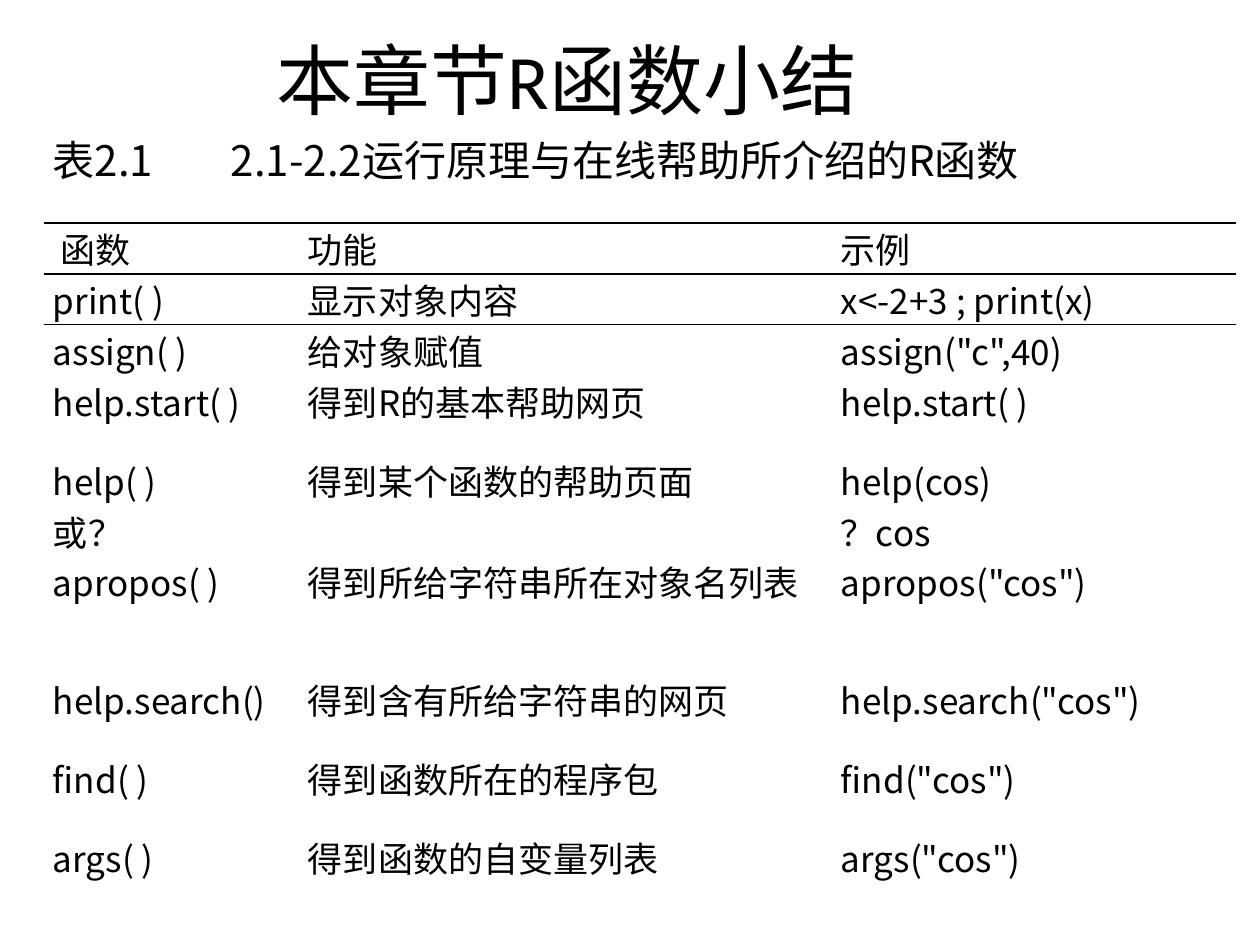
"""Build a slide summarising the R functions of the chapter in a ruled table."""
from pptx import Presentation
from pptx.dml.color import RGBColor
from pptx.enum.text import MSO_ANCHOR as ANCHOR, PP_ALIGN as ALIGN
from pptx.oxml import parse_xml
from pptx.oxml.ns import nsdecls, qn
from pptx.util import Pt

TITLE = "本章节R函数小结"
CAPTION = "表2.1\t2.1-2.2运行原理与在线帮助所介绍的R函数"
HEADER = ("函数", "功能", "示例")
FUNCTIONS = [
    ("print( )", "显示对象内容", "x<-2+3 ; print(x)"),
    ("assign( )", "给对象赋值", 'assign("c",40)'),
    ("help.start( )", "得到R的基本帮助网页", "help.start( )"),
    ("help( )\n或？", "得到某个函数的帮助页面", "help(cos)\n？cos"),
    ("apropos( )", "得到所给字符串所在对象名列表", 'apropos("cos")'),
    ("help.search()", "得到含有所给字符串的网页", 'help.search("cos")'),
    ("find( )", "得到函数所在的程序包", 'find("cos")'),
    ("args( )", "得到函数的自变量列表", 'args("cos")'),
]
ROWS = [(CAPTION, "", ""), HEADER, *FUNCTIONS, ("", "", "")]
ROW_HEIGHTS = [95, 39, 39, 39, 79, 79, 118, 79, 79, 79, 39]
COL_WIDTHS = [255, 533, 404]
RULES = {0: "B", 1: "TB", 2: "T", len(ROWS) - 1: "B"}
TABLE_LEFT, TABLE_TOP = 44, 128
INSET, HEADER_INDENT, CAPTION_TAB = 9, 8, 178

THEME = {
    "ink": "000000",
    "rule": Pt(1),
    "title": {"name": "Calibri", "size": Pt(44)},
    "caption": {"name": "Noto Sans CJK SC", "size": Pt(24)},
    "body": {"name": "Noto Sans CJK SC", "size": Pt(20)},
}
NO_GRID = "{2D5ABB26-0587-4C30-8999-92F81FD0307C}"


def px(n):
    return round(n * 914400 / 126)


def set_attrs(obj, **values):
    for name, value in values.items():
        setattr(obj, name, value)


def write(tf, text, style, align=ALIGN.LEFT):
    tf.text = text
    for p in tf.paragraphs:
        p.alignment = align
        for r in p.runs:
            set_attrs(r.font, **THEME[style])
            r.font.color.rgb = RGBColor.from_string(THEME["ink"])
            if style != "title":
                r.font._element.append(parse_xml(
                    f'<a:ea {nsdecls("a")} typeface="{THEME[style]["name"]}"/>'))


def add_rules(cell, sides):
    for side in sides:
        cell._tc.get_or_add_tcPr().append(parse_xml(
            f'<a:ln{side} {nsdecls("a")} w="{THEME["rule"]}"><a:solidFill>'
            f'<a:srgbClr val="{THEME["ink"]}"/></a:solidFill></a:ln{side}>'))


def add_title(slide):
    tf = slide.shapes.add_textbox(0, 0, px(1134), px(158)).text_frame
    set_attrs(tf, word_wrap=True, vertical_anchor=ANCHOR.MIDDLE)
    write(tf, TITLE, "title", ALIGN.CENTER)


def add_function_table(slide):
    table = slide.shapes.add_table(
        len(ROWS), len(COL_WIDTHS), px(TABLE_LEFT), px(TABLE_TOP),
        px(sum(COL_WIDTHS)), px(sum(ROW_HEIGHTS))).table
    set_attrs(table, first_row=False, horz_banding=False)
    table._tbl.tblPr.find(qn("a:tableStyleId")).text = NO_GRID
    for col, width in zip(table.columns, COL_WIDTHS):
        col.width = px(width)
    for i, (row, height, texts) in enumerate(zip(table.rows, ROW_HEIGHTS, ROWS)):
        row.height = px(height)
        for j, (cell, text) in enumerate(zip(row.cells, texts)):
            indent = HEADER_INDENT if (i, j) == (1, 0) else 0
            set_attrs(cell, margin_left=px(INSET + indent), margin_right=px(INSET),
                      margin_top=0, margin_bottom=0, vertical_anchor=ANCHOR.TOP)
            add_rules(cell, RULES.get(i, ""))
            cell.fill.background()
            write(cell.text_frame, text, "body" if i else "caption")
    caption = table.cell(0, 0)
    caption.merge(table.cell(0, len(COL_WIDTHS) - 1))
    caption.text_frame.paragraphs[0]._p.get_or_add_pPr().append(parse_xml(
        f'<a:tabLst {nsdecls("a")}><a:tab pos="{px(CAPTION_TAB)}" algn="l"/></a:tabLst>'))


def main():
    prs = Presentation()
    set_attrs(prs, slide_width=px(1260), slide_height=px(945))
    slide = prs.slides.add_slide(prs.slide_layouts[6])
    add_function_table(slide)
    add_title(slide)
    prs.save("out.pptx")


if __name__ == "__main__":
    main()
